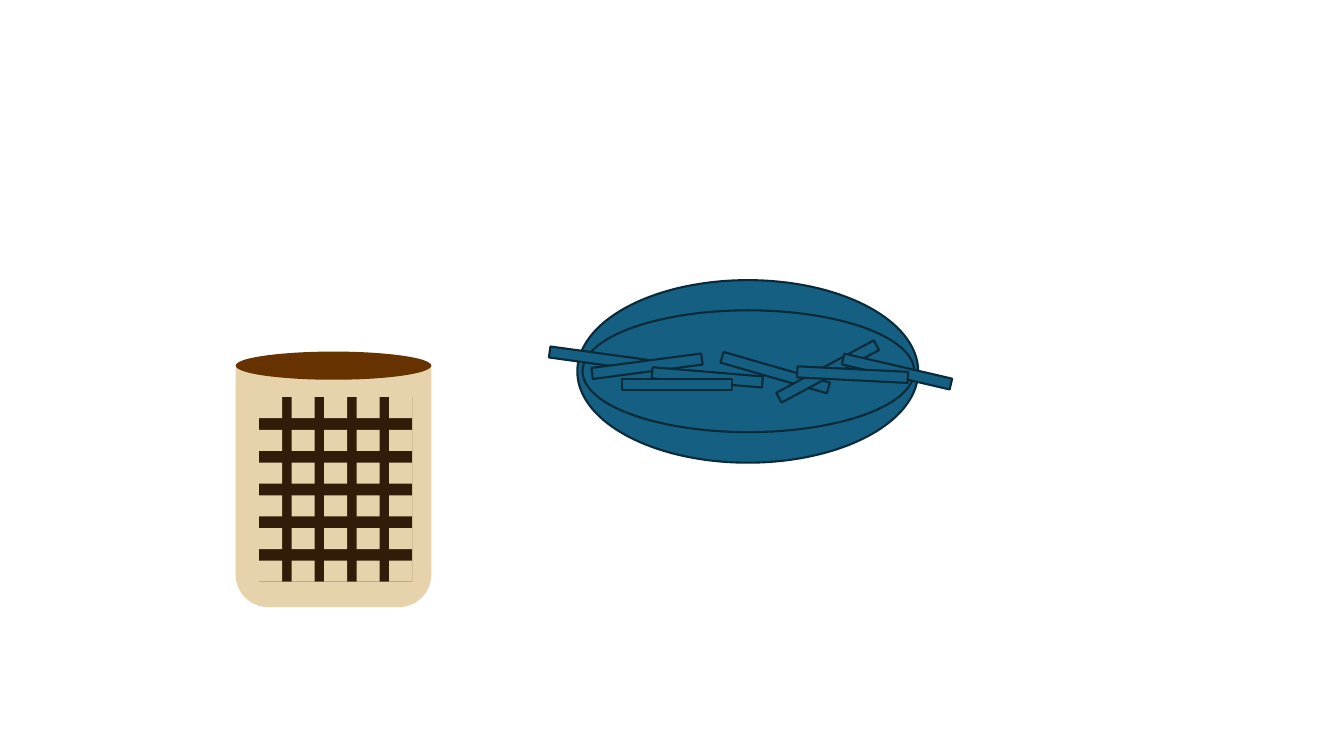
from pptx import Presentation
from pptx.dml.color import RGBColor
from pptx.enum import shapes
from pptx.util import Cm, Pt

KIND = shapes.MSO_SHAPE
CREAM, DARK, BROWN, WHITE = "E7D3AB", "321B08", "663300", "FFFFFF"
BLUE, NAVY = "156082", "092A39"

# Left, top and turn in degrees of each stick, from back to front
STICKS = [
    (13.84, 8.92, 7.8),
    (14.91, 9.09, 352.5),
    (16.43, 9.37, 4.8),
    (15.67, 9.55, 0),
    (18.14, 9.25, 16.1),
    (19.46, 9.22, 151.7),
    (21.21, 9.22, 193.1),
    (20.09, 9.3, 182.9),
]


def paint(fmt, color):
    fmt.solid()
    fmt.fore_color.rgb = RGBColor.from_string(color)


def draw(slide, kind, box, color, line=None, turn=0):
    """Add a filled shape; box is left, top, width, height in cm."""
    shape = slide.shapes.add_shape(kind, *map(Cm, box))
    shape.shadow.inherit = False
    shape.rotation = turn
    paint(shape.fill, color)
    if line:
        paint(shape.line.fill, line)
        shape.line.width = Pt(1.5)
    else:
        shape.line.fill.background()


def weave(slide, left, top, wide, high, cols=5, rows=6):
    """Dark panel with evenly spread cream holes reaching its edges."""
    hole_w, hole_h = 0.58, 0.53
    step_x = (wide - hole_w) / (cols - 1)
    step_y = (high - hole_h) / (rows - 1)
    draw(slide, KIND.RECTANGLE, (left, top, wide, high), DARK)
    for row in range(rows):
        for col in range(cols):
            box = (left + col * step_x, top + row * step_y, hole_w, hole_h)
            draw(slide, KIND.RECTANGLE, box, CREAM)


def bowl(slide):
    draw(slide, KIND.OVAL, (14.55, 7.06, 8.59, 4.6), BLUE, NAVY)
    draw(slide, KIND.OVAL, (14.68, 7.82, 8.36, 3.07), BLUE, NAVY)
    for left, top, turn in STICKS:
        draw(slide, KIND.RECTANGLE, (left, top, 2.79, 0.28), BLUE, NAVY, turn)


def cup(slide):
    left, wide = 5.94, 4.93
    draw(slide, KIND.ROUNDED_RECTANGLE, (left, 8.59, wide, 6.71), CREAM)
    weave(slide, 6.53, 10.01, 3.86, 4.65)
    # White strip cuts off the rounded top corners behind the rim
    draw(slide, KIND.RECTANGLE, (left, 8.38, wide, 0.81), WHITE)
    draw(slide, KIND.OVAL, (left, 8.86, wide, 0.71), BROWN)


def main():
    deck = Presentation()
    deck.slide_width, deck.slide_height = Cm(33.87), Cm(19.05)
    slide = deck.slides.add_slide(deck.slide_layouts[6])
    bowl(slide)
    cup(slide)
    deck.save("out.pptx")


if __name__ == "__main__":
    main()
